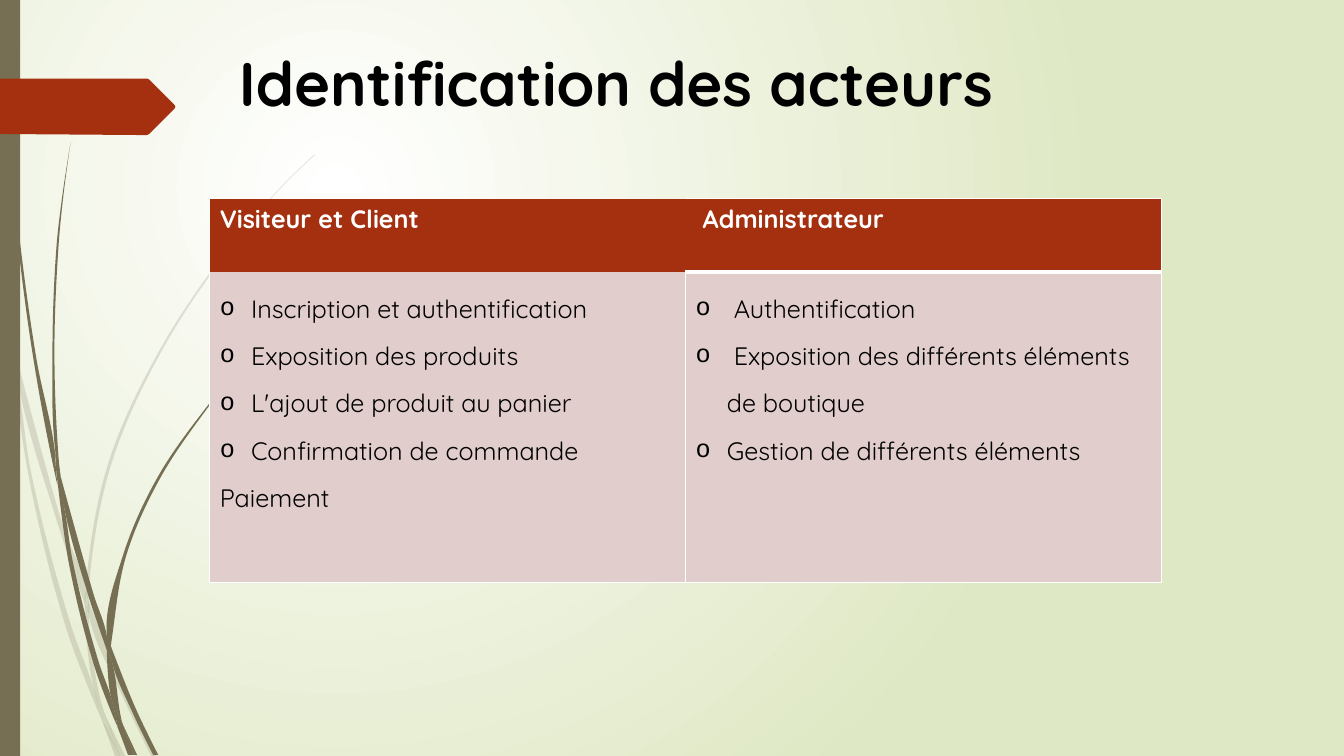
"""Build the slide that identifies the actors of the shop."""
import dataclasses
import math

import pptx
import pptx.dml.color
import pptx.enum.shapes
import pptx.enum.text
import pptx.oxml
import pptx.oxml.ns
import pptx.util

Inches = pptx.util.Inches


@dataclasses.dataclass(frozen=True)
class Theme:
    """Colours, fonts and type sizes of the slide."""
    font: str = "Quicksand"
    bullet_font: str = "Courier New"
    title_size: int = 44
    table_size: int = 18
    black: str = "000000"
    white: str = "FFFFFF"
    meadow: str = "DFE8C4"
    grass: str = "766F54"
    accent: str = "A53010"
    rose: str = "E1CDCC"


THEME = Theme()

PALE_BLADES = [
    [(0.11, 3.5), (0.09, 3.22), (0, 2.82), (0, 2.99), (0.1, 3.44)],
    [(0.58, 5.22), (0.84, 5.99), (0.85, 5.86), (0.62, 5.2), (0.14, 3.45), (0.17, 3.76)],
    [(0.92, 6.07), (0.88, 5.96), (0.88, 6.1), (1.23, 6.94), (1.5, 7.5), (1.55, 7.5), (1.27, 6.92)],
    [(1.19, 7.5), (1.24, 7.5), (1.05, 7.11)],
    [(0.93, 6.83), (0.7, 6.19), (0.31, 4.69), (0.17, 3.76), (0.11, 3.5), (0.28, 4.7), (0.65, 6.21), (0.92, 6.93),
     (1.01, 7.14), (0.99, 7.07)],
    [(0.84, 5.99), (0.87, 6.46), (0.93, 6.83), (0.96, 6.92), (1.05, 7.11), (1.03, 7.06), (0.91, 6.46),
     (0.88, 6.1), (0.88, 6.08)],
    [(0.88, 5.84), (1.1, 4.62), (1.6, 3.49), (2.29, 2.45), (2.68, 1.98), (2.9, 1.75), (3.12, 1.54), (3.12, 1.53),
     (2.89, 1.75), (2.68, 1.97), (2.28, 2.44), (1.58, 3.48), (1.07, 4.61), (0.85, 5.84), (0.85, 5.86), (0.88, 5.96)],
    [(1.01, 7.14), (1.14, 7.5), (1.19, 7.5)],
    [(0.88, 6.08), (0.88, 6.1), (0.88, 5.96), (0.85, 5.86), (0.84, 5.99)],
    [(0.96, 6.92), (0.93, 6.83), (0.99, 7.07), (1.01, 7.14), (1.19, 7.5), (1.05, 7.11)],
]
DARK_BLADES = [
    [(0.07, 1.1), (0.17, 2.33), (0.33, 3.55), (0.56, 4.77), (0.57, 4.81), (0.55, 4.57), (0.55, 4.53), (0.36, 3.55),
     (0.19, 2.32), (0.08, 1.09), (0.05, 0.48), (0.04, 0), (0.03, 0), (0.04, 0.48)],
    [(0.88, 5.92), (1.06, 6.45), (1.06, 6.33), (1.06, 6.31), (0.93, 5.9), (0.6, 4.72), (0.64, 5.05)],
    [(1.13, 6.49), (1.1, 6.41), (1.11, 6.56), (1.32, 7.08), (1.52, 7.49), (1.57, 7.49), (1.36, 7.06)],
    [(1.1, 6.91), (0.98, 6.57), (0.72, 5.56), (0.64, 5.05), (0.57, 4.77), (0.68, 5.57), (0.93, 6.59), (1.11, 7.08),
     (1.17, 7.22), (1.16, 7.17)],
    [(0.6, 4.72), (0.58, 4.53), (0.54, 3.49), (0.58, 2.45), (0.63, 1.93), (0.7, 1.41), (0.62, 1.93), (0.56, 2.45),
     (0.52, 3.49), (0.55, 4.49)],
    [(1.33, 7.49), (1.36, 7.49), (1.22, 7.19)],
    [(0.57, 4.77), (0.64, 5.05), (0.6, 4.72), (0.55, 4.49), (0.55, 4.53)],
    [(1.11, 6.33), (1.25, 5.52), (1.58, 4.76), (2.05, 4.06), (2.31, 3.74), (2.45, 3.59), (2.61, 3.44), (2.6, 3.44),
     (2.45, 3.58), (2.31, 3.73), (2.04, 4.05), (1.56, 4.74), (1.22, 5.51), (1.06, 6.31), (1.1, 6.41)],
    [(1.17, 7.22), (1.27, 7.49), (1.31, 7.49)],
    [(1.06, 6.45), (1.1, 6.91), (1.16, 7.06), (1.22, 7.19), (1.21, 7.16), (1.11, 6.56), (1.09, 6.51)],
    [(1.06, 6.45), (1.09, 6.51), (1.11, 6.56), (1.1, 6.41), (1.06, 6.31), (1.06, 6.33)],
    [(1.16, 7.06), (1.1, 6.91), (1.16, 7.17), (1.17, 7.22), (1.3, 7.49), (1.33, 7.49), (1.22, 7.19)],
]
BANNER = [(1.73, 1.08), (1.48, 1.33), (1.46, 1.34), (1.36, 1.34), (0, 1.33), (0, 0.78), (1.36, 0.78), (1.46, 0.78),
          (1.48, 0.79), (1.73, 1.04), (1.74, 1.06)]

HEADERS = ["Visiteur et Client", " Administrateur"]
VISITOR_TASKS = ["Inscription et authentification", "Exposition des produits",
                 "L'ajout de produit au panier", "Confirmation de commande"]
ADMIN_TASKS = [" Authentification", " Exposition des différents éléments de boutique",
               "Gestion de différents éléments"]


def rgb(code):
    """Return the colour for a hexadecimal code."""
    return pptx.dml.color.RGBColor.from_string(code)


def drawing_xml(tag, attributes="", content=""):
    """Return a DrawingML element."""
    namespace = pptx.oxml.ns.nsdecls("a")
    return pptx.oxml.parse_xml(f"<a:{tag} {namespace} {attributes}>{content}</a:{tag}>")


def set_background(slide):
    """Fill the background with a circular gradient."""
    fill = slide.background.fill
    fill.gradient()
    for stop, color in zip(fill.gradient_stops, (THEME.white, THEME.meadow)):
        stop.color.rgb = rgb(color)
    gradient = slide.element.find(".//" + pptx.oxml.ns.qn("a:gradFill"))
    direction = gradient.find(pptx.oxml.ns.qn("a:lin"))
    focus = '<a:fillToRect l="50000" t="50000" r="100000" b="100000"/>'
    gradient.replace(direction, drawing_xml("path", 'path="circle"', focus))


def paint(shape, color, opacity=100):
    """Give a shape a plain fill without line or shadow."""
    shape.shadow.inherit = False
    shape.line.fill.background()
    shape.fill.solid()
    shape.fill.fore_color.rgb = rgb(color)
    if opacity < 100:
        color_element = shape.element.find(".//" + pptx.oxml.ns.qn("a:srgbClr"))
        color_element.append(drawing_xml("alpha", f'val="{opacity * 1000}"'))


def tangent(before, point, after):
    """Return the unit direction through a point, or none at a sharp corner."""
    arrive = math.atan2(point[1] - before[1], point[0] - before[0])
    leave = math.atan2(after[1] - point[1], after[0] - point[0])
    turn = math.remainder(leave - arrive, math.tau)
    if abs(turn) > 0.6:
        return 0, 0
    return math.cos(arrive + turn / 2), math.sin(arrive + turn / 2)


def bend(shape, corners):
    """Turn the straight sides of a closed outline into smooth curves."""
    count = len(corners)
    tangents = [tangent(corners[i - 1], corners[i], corners[(i + 1) % count]) for i in range(count)]
    sides = shape.element.findall(".//" + pptx.oxml.ns.qn("a:lnTo"))
    for index, side in enumerate(sides):
        following = (index + 1) % count
        start, end = corners[index], corners[following]
        reach = math.dist(start, end) / 3
        first = [p + reach * t for p, t in zip(start, tangents[index])]
        second = [p - reach * t for p, t in zip(end, tangents[following])]
        content = "".join(f'<a:pt x="{round(x - shape.left)}" y="{round(y - shape.top)}"/>'
                          for x, y in (first, second, end))
        side.getparent().replace(side, drawing_xml("cubicBezTo", "", content))


def add_outline(slide, points, color, opacity=100, curved=True):
    """Add a closed, filled outline given in inches."""
    corners = [(Inches(x), Inches(y)) for x, y in points]
    builder = slide.shapes.build_freeform(*corners[0])
    builder.add_line_segments(corners[1:] + corners[:1], close=True)
    shape = builder.convert_to_shape()
    if curved:
        bend(shape, corners)
    paint(shape, color, opacity)


def add_decoration(slide):
    """Add the grass blades, the side bar and the banner."""
    for blades, opacity in ((PALE_BLADES, 20), (DARK_BLADES, 100)):
        for blade in blades:
            add_outline(slide, blade, THEME.grass, opacity)
    rectangle = pptx.enum.shapes.MSO_SHAPE.RECTANGLE
    paint(slide.shapes.add_shape(rectangle, 0, 0, Inches(0.2), Inches(7.5)), THEME.grass)
    add_outline(slide, BANNER, THEME.accent, curved=False)


def format_font(paragraph, size, color, bold=False):
    """Set the font of a paragraph."""
    font = paragraph.font
    font.name, font.size, font.bold = THEME.font, pptx.util.Pt(size), bold
    font.color.rgb = rgb(color)


def add_title(slide, text):
    """Place and format the title."""
    title = slide.shapes.title
    title.left, title.top, title.width, title.height = map(Inches, (2.27, 0.4, 9.75, 0.85))
    title.text_frame.text = text
    title.text_frame.vertical_anchor = pptx.enum.text.MSO_ANCHOR.TOP
    paragraph = title.text_frame.paragraphs[0]
    paragraph.alignment = pptx.enum.text.PP_ALIGN.LEFT
    format_font(paragraph, THEME.title_size, THEME.black, bold=True)


def style_cell(cell, color, borders):
    """Fill a cell and draw the borders whose widths are given by side."""
    cell.fill.solid()
    cell.fill.fore_color.rgb = rgb(color)
    properties = cell._tc.get_or_add_tcPr()
    for index, side in enumerate("LRTB"):
        width = pptx.util.Pt(borders.get(side, 0))
        line = f'<a:solidFill><a:srgbClr val="{THEME.white}"/></a:solidFill>' if width else "<a:noFill/>"
        properties.insert(index, drawing_xml(f"ln{side}", f'w="{width}"', line))


def write_tasks(cell, tasks, closing=()):
    """Write bulleted tasks, then plain closing lines."""
    cell.text = "\n".join([*tasks, *closing])
    for index, paragraph in enumerate(cell.text_frame.paragraphs):
        paragraph.line_spacing = 1.5
        format_font(paragraph, THEME.table_size, THEME.black)
        if index < len(tasks):
            properties = paragraph._p.get_or_add_pPr()
            hang = Inches(0.31)
            properties.set("marL", str(hang))
            properties.set("indent", str(-hang))
            line_spacing = properties.find(pptx.oxml.ns.qn("a:lnSpc"))
            line_spacing.addnext(drawing_xml("buChar", 'char="o"'))
            line_spacing.addnext(drawing_xml("buFont", f'typeface="{THEME.bullet_font}"'))


def add_actor_table(slide):
    """Add the table of actors and their tasks."""
    table = slide.shapes.add_table(2, 2, *map(Inches, (2.08, 1.97, 9.44, 3.81))).table
    for row, height in zip(table.rows, (0.73, 3.08)):
        row.height = Inches(height)
    for column, header in enumerate(HEADERS):
        cell = table.cell(0, column)
        cell.text = header
        format_font(cell.text_frame.paragraphs[0], THEME.table_size, THEME.white, bold=True)
        style_cell(cell, THEME.accent, {"T": 1, "R": 1, "B": 3} if column else {})
    write_tasks(table.cell(1, 0), VISITOR_TASKS, ["Paiement"])
    write_tasks(table.cell(1, 1), ADMIN_TASKS)
    style_cell(table.cell(1, 0), THEME.rose, {"L": 1, "R": 1, "B": 1})
    style_cell(table.cell(1, 1), THEME.rose, {"L": 1, "R": 1, "T": 3, "B": 1})


def main():
    """Build and save the presentation."""
    presentation = pptx.Presentation()
    presentation.slide_width, presentation.slide_height = Inches(13.33), Inches(7.5)
    slide = presentation.slides.add_slide(presentation.slide_layouts.get_by_name("Title Only"))
    set_background(slide)
    add_decoration(slide)
    add_title(slide, "Identification des acteurs")
    add_actor_table(slide)
    presentation.save("out.pptx")


main()
